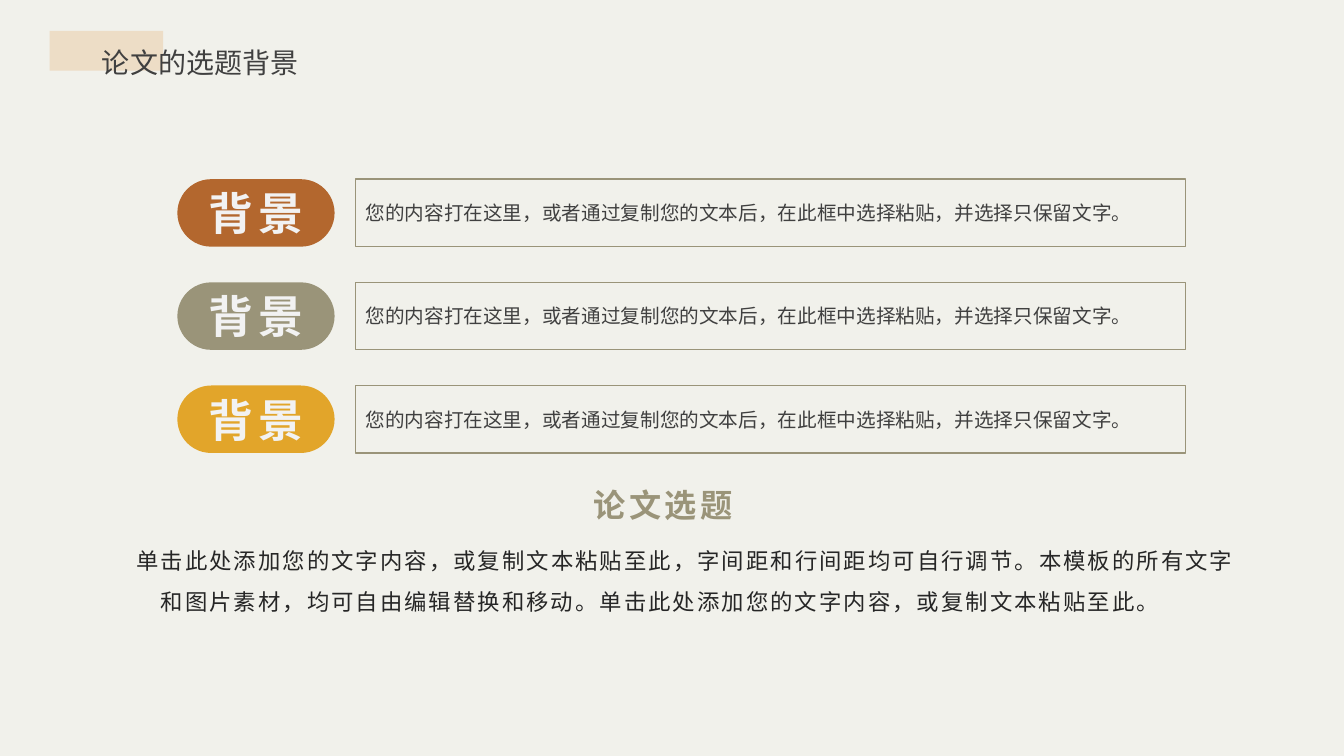
from lxml.etree import SubElement
from pptx import Presentation
from pptx.dml.color import RGBColor
from pptx.enum.shapes import MSO_SHAPE
from pptx.enum.text import MSO_ANCHOR, MSO_AUTO_SIZE, PP_ALIGN
from pptx.oxml.ns import qn
from pptx.util import Pt

FONT = "Noto Sans CJK SC"
COLORS = {
    "background": "F1F1EB",
    "sand": "EDDDC6",
    "rust": "B3672E",
    "olive": "9A9479",
    "amber": "E2A52A",
    "pale": "F2F2F2",
    "grey": "404040",
    "ink": "262626",
}
TITLE = "论文的选题背景"
LABEL = "背景"
DETAIL = "您的内容打在这里，或者通过复制您的文本后，在此框中选择粘贴，并选择只保留文字。"
HEADING = "论文选题"
SUMMARY = (
    "单击此处添加您的文字内容，或复制文本粘贴至此，字间距和行间距均可自行调节。"
    "本模板的所有文字和图片素材，均可自由编辑替换和移动。"
    "单击此处添加您的文字内容，或复制文本粘贴至此。"
)


def rgb(name):
    return RGBColor.from_string(COLORS[name])


def write(frame, text, size, color, align=PP_ALIGN.LEFT, bold=False, tracking=0):
    """Fill the frame with one paragraph; tracking is letter spacing in points."""
    paragraph = frame.paragraphs[0]
    paragraph.text = text
    paragraph.alignment = align
    font = paragraph.font
    font.size, font.bold, font.name = Pt(size), bold, FONT
    font.color.rgb = rgb(color)
    properties = paragraph._p.pPr.find(qn("a:defRPr"))
    properties.set("spc", str(round(tracking * 100)))
    SubElement(properties, qn("a:ea"), typeface=FONT)
    return paragraph


def add_block(slide, kind, left, top, width, height, fill=None, line=None):
    block = slide.shapes.add_shape(kind, Pt(left), Pt(top), Pt(width), Pt(height))
    block.shadow.inherit = False
    if fill:
        block.fill.solid()
        block.fill.fore_color.rgb = rgb(fill)
    else:
        block.fill.background()
    if line:
        block.line.color.rgb = rgb(line)
        block.line.width = Pt(1)
    else:
        block.line.fill.background()
    block.text_frame.word_wrap = True
    block.text_frame.vertical_anchor = MSO_ANCHOR.MIDDLE
    return block


def add_text_frame(slide, left, top, width, height, wrap=True):
    frame = slide.shapes.add_textbox(Pt(left), Pt(top), Pt(width), Pt(height)).text_frame
    frame.word_wrap = wrap
    frame.auto_size = MSO_AUTO_SIZE.SHAPE_TO_FIT_TEXT
    return frame


def add_title(slide, left, top):
    add_block(slide, MSO_SHAPE.RECTANGLE, left, top, 81, 28.5, fill="sand")
    frame = add_text_frame(slide, left + 30.3, top - 4.8, 252, 39.6)
    write(frame, TITLE, 20, "grey", PP_ALIGN.JUSTIFY).line_spacing = 1.5


def add_background_row(slide, left, top, width, height, color):
    """A coloured pill label with an outlined detail box to its right."""
    pill_width, gap = 112.3, 15
    pill = add_block(slide, MSO_SHAPE.ROUNDED_RECTANGLE,
                     left, top, pill_width, height, fill=color)
    pill.adjustments[0] = 0.5
    write(pill.text_frame, LABEL, 32, "pale", PP_ALIGN.CENTER, bold=True, tracking=4)

    offset = pill_width + gap
    detail = add_block(slide, MSO_SHAPE.RECTANGLE, left + offset, top,
                       width - offset, height, line="olive")
    write(detail.text_frame, DETAIL, 14, "grey")


def add_summary(slide, left, top, width):
    frame = add_text_frame(slide, left, top + 34.6, width, 61.9)
    paragraph = write(frame, SUMMARY, 16, "ink", PP_ALIGN.CENTER, tracking=1.5)
    paragraph.line_spacing = 1.5
    paragraph.space_after = Pt(15)
    paragraph._p.pPr.set("indent", str(Pt(36.7)))

    heading = add_text_frame(slide, left + 370.8, top, 118.1, 35.3, wrap=False)
    write(heading, HEADING, 23, "olive", bold=True, tracking=2.5)


def main():
    presentation = Presentation()
    presentation.slide_width, presentation.slide_height = Pt(960), Pt(540)
    slide = presentation.slides.add_slide(presentation.slide_layouts[6])
    slide.background.fill.solid()
    slide.background.fill.fore_color.rgb = rgb("background")

    add_title(slide, 35.5, 22)
    for row, color in enumerate(("rust", "olive", "amber")):
        add_background_row(slide, 126.7, 128 + row * 73.7, 720, 48.2, color)
    add_summary(slide, 46.1, 343.4, 851.8)
    presentation.save("out.pptx")


if __name__ == "__main__":
    main()
